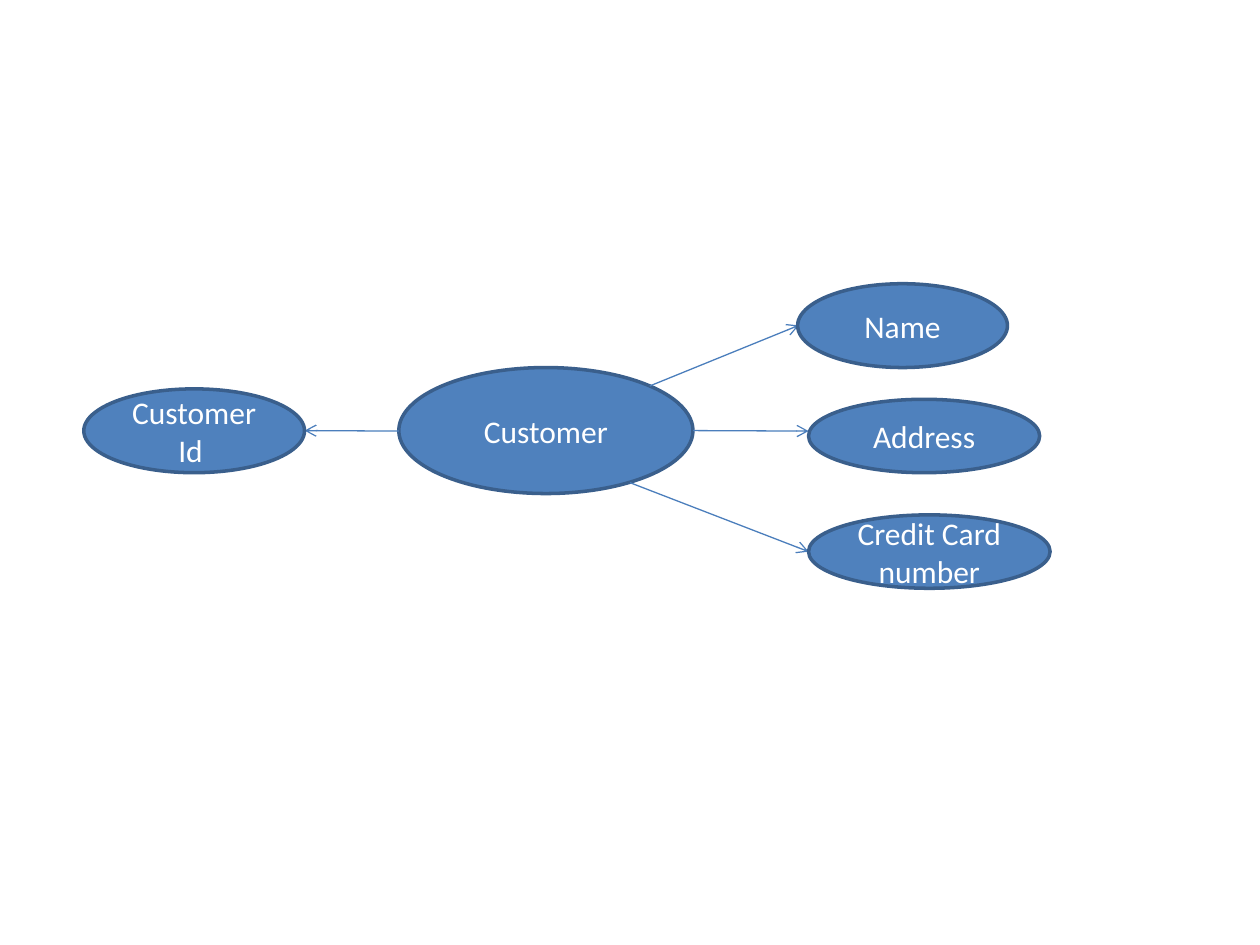
import dataclasses

import pptx
import pptx.dml.color
import pptx.enum.shapes
import pptx.enum.text
import pptx.oxml
import pptx.oxml.ns
import pptx.util
from pptx.util import Cm


@dataclasses.dataclass(frozen=True)
class Theme:
    """Colours, type and line widths of the slide."""
    fill: str = "4F81BD"
    outline: str = "3A5F8C"
    arrow: str = "4B7EBC"
    text: str = "FFFFFF"
    font: str = "Calibri"
    text_size: float = 18
    outline_width: float = 2
    arrow_width: float = 0.75


@dataclasses.dataclass(frozen=True)
class Attribute:
    """An ellipse and its arrow, in centimetres within the diagram."""
    label: str
    box: tuple
    arrow_start: tuple
    arrow_end: tuple


THEME = Theme()
DIAGRAM_ORIGIN = (1.69, 5.72)
CUSTOMER_BOX = (6.35, 1.69, 5.93, 2.54)
ATTRIBUTES = [
    Attribute("Address", (14.61, 2.33, 4.66, 1.48), (12.28, 2.96), (14.61, 2.97)),
    Attribute("Name", (14.39, 0, 4.23, 1.69), (11.41, 2.06), (14.41, 0.84)),
    Attribute("Credit Card number", (14.61, 4.66, 4.87, 1.48), (11.01, 4.01), (14.61, 5.4)),
    Attribute("Customer Id ", (0, 2.12, 4.45, 1.69), (6.35, 2.97), (4.45, 2.96)),
]


def colour(value):
    """Return an RGB colour from its hexadecimal form."""
    return pptx.dml.color.RGBColor.from_string(value)


def add_ellipse(slide, origin, box, label):
    """Add a labelled ellipse, its box measured from the origin."""
    left, top, width, height = box
    shape = slide.shapes.add_shape(
        pptx.enum.shapes.MSO_SHAPE.OVAL,
        Cm(origin[0] + left), Cm(origin[1] + top), Cm(width), Cm(height))
    shape.shadow.inherit = False
    shape.fill.solid()
    shape.fill.fore_color.rgb = colour(THEME.fill)
    shape.line.color.rgb = colour(THEME.outline)
    shape.line.width = pptx.util.Pt(THEME.outline_width)
    frame = shape.text_frame
    frame.word_wrap = True
    frame.vertical_anchor = pptx.enum.text.MSO_ANCHOR.MIDDLE
    frame.text = label
    paragraph = frame.paragraphs[0]
    paragraph.alignment = pptx.enum.text.PP_ALIGN.CENTER
    paragraph.font.name = THEME.font
    paragraph.font.size = pptx.util.Pt(THEME.text_size)
    paragraph.font.color.rgb = colour(THEME.text)


def add_arrow(slide, origin, start, end):
    """Add an open-headed arrow between two points measured from the origin."""
    points = [Cm(base + offset) for point in (start, end)
              for base, offset in zip(origin, point)]
    connector = slide.shapes.add_connector(
        pptx.enum.shapes.MSO_CONNECTOR.STRAIGHT, *points)
    connector.line.color.rgb = colour(THEME.arrow)
    connector.line.width = pptx.util.Pt(THEME.arrow_width)
    head = pptx.oxml.parse_xml(
        f'<a:tailEnd {pptx.oxml.ns.nsdecls("a")} type="arrow"/>')
    connector.line._get_or_add_ln().append(head)
    effects = pptx.oxml.parse_xml(f'<a:effectLst {pptx.oxml.ns.nsdecls("a")}/>')
    connector._element.spPr.append(effects)


def add_customer_diagram(slide, origin):
    """Place the customer and its attributes from the given top-left corner."""
    add_ellipse(slide, origin, CUSTOMER_BOX, "Customer")
    for attribute in ATTRIBUTES:
        add_arrow(slide, origin, attribute.arrow_start, attribute.arrow_end)
        add_ellipse(slide, origin, attribute.box, attribute.label)


def main():
    """Build and save the presentation."""
    presentation = pptx.Presentation()
    presentation.slide_width = Cm(25.4)
    presentation.slide_height = Cm(19.05)
    blank_layout = presentation.slide_layouts.get_by_name("Blank")
    slide = presentation.slides.add_slide(blank_layout)
    add_customer_diagram(slide, DIAGRAM_ORIGIN)
    presentation.save("out.pptx")


main()
